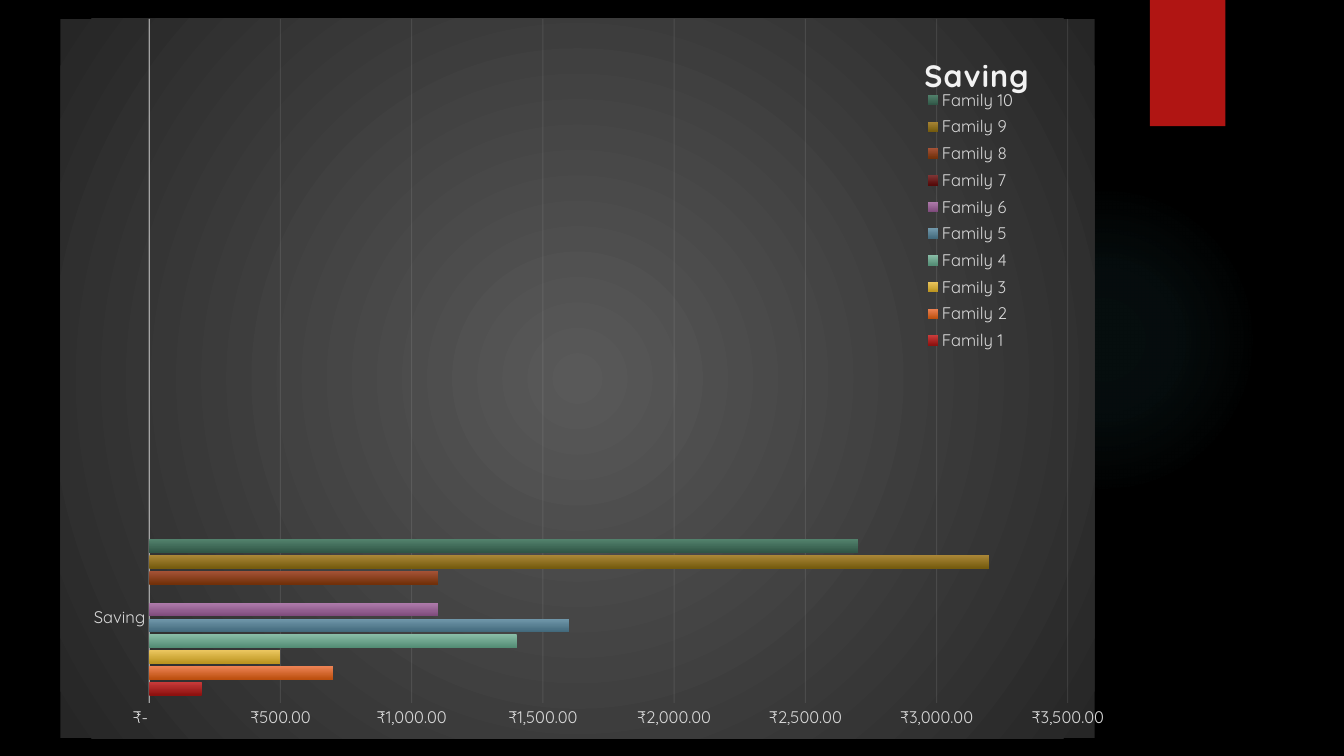
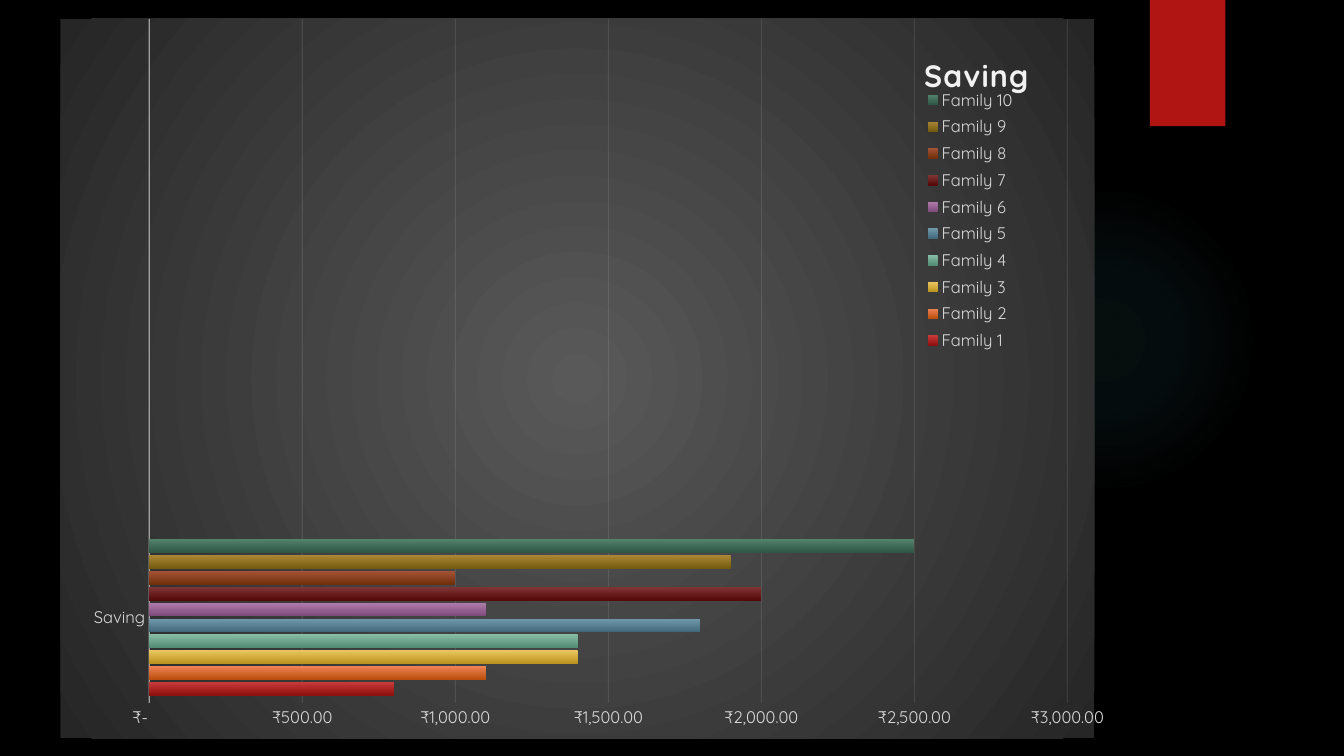
import pptx
import pptx.chart.data
import pptx.dml.color
import pptx.enum.chart
import pptx.enum.shapes
import pptx.oxml
import pptx.oxml.ns
import pptx.util

Cm, Pt = pptx.util.Cm, pptx.util.Pt
FONT = "Quicksand"
WHITE, LABEL, RULE = "FFFFFF", "D9D9D9", "F2F2F2"
RED, GLOW, BLACK = "B01513", "50B9C1", "000000"
CHART_FILL = [(0, "595959", 100), (100, "262626", 100)]
CHART_BOX = (1.52, 0.46, 26.42, 18.14)
BARS = [
    ("C93B3A", "8D110F"), ("EE8455", "BC4F0E"), ("EBC65F", "BB941F"),
    ("89BDA7", "538C74"), ("7198AB", "436A7C"), ("AF7CAC", "7F4B7C"),
    ("7F3636", "550A09"), ("A45236", "713009"), ("AA8737", "755B0E"),
    ("52816C", "305646"),
]
RUPEES = '_ "₹"* #,##0.00_ ;_ "₹"* -#,##0.00_ ;_ "₹"* "-"??_ ;_ @_ '
SAVINGS = [
    ([200, 700, 500, 1400, 1600, 1100, 0, 1100, 3200, 2700], 3500),
    ([800, 1100, 1400, 1400, 1800, 1100, 2000, 1000, 1900, 2500], 3000),
]


def rgb(value):
    return pptx.dml.color.RGBColor.from_string(value)


def xml(text):
    head, tail = text.split(">", 1)
    return pptx.oxml.parse_xml(f"{head} {pptx.oxml.ns.nsdecls('a', 'c')}>{tail}")


def add_gradient(spPr, stops, radial=False):
    marks = "".join(
        f'<a:gs pos="{pos * 1000}"><a:srgbClr val="{color}">'
        f'<a:alpha val="{alpha * 1000}"/></a:srgbClr></a:gs>'
        for pos, color, alpha in stops)
    if radial:
        course = ('<a:path path="circle"><a:fillToRect l="50000" t="50000" '
                  'r="50000" b="50000"/></a:path>')
    else:
        course = '<a:lin ang="5400000" scaled="0"/>'
    spPr.append(xml(f"<a:gradFill><a:gsLst>{marks}</a:gsLst>{course}</a:gradFill>"))


def set_line(fmt, width, alpha):
    fmt.line.color.rgb = rgb(RULE)
    fmt.line.width = Pt(width)
    color = fmt.element.xpath("c:spPr//a:srgbClr")[0]
    color.append(xml(f'<a:alpha val="{alpha * 1000}"></a:alpha>'))


def set_font(font, size, color):
    font.name, font.size = FONT, Pt(size)
    font.color.rgb = rgb(color)


def set_layout(element, x, y, w=None, h=None, inner=False):
    for old in element.xpath("c:layout"):
        element.remove(old)
    parts = '<c:layoutTarget val="inner"/>' if inner else ""
    parts += '<c:xMode val="edge"/><c:yMode val="edge"/>'
    for tag, value in zip("xywh", (x, y, w, h)):
        if value is not None:
            parts += f'<c:{tag} val="{value}"/>'
    layout = xml(f"<c:layout><c:manualLayout>{parts}</c:manualLayout></c:layout>")
    overlay = element.xpath("c:overlay")
    if overlay:
        overlay[0].addprevious(layout)
    else:
        element.insert(0, layout)


def add_plain_shape(s, kind, box):
    sp = s.shapes.add_shape(kind, *map(Cm, box))
    sp.line.fill.background()
    sp.shadow.inherit = False
    return sp


def decorate(prs, layout, s):
    background = prs.slide_master.background.fill
    background.solid()
    background.fore_color.rgb = rgb(BLACK)
    shape = pptx.enum.shapes.MSO_SHAPE
    glow = s.shapes.add_shape(shape.OVAL, *map(Cm, (23.9, 4.65, 7.82, 7.82)))
    add_gradient(glow.element.spPr,
                 [(0, GLOW, 7), (36, GLOW, 6), (69, GLOW, 0)], radial=True)
    glow.line.fill.background()
    glow.shadow.inherit = False
    tag = add_plain_shape(s, shape.RECTANGLE, (28.98, 0, 1.9, 3.18))
    tag.fill.solid()
    tag.fill.fore_color.rgb = rgb(RED)
    for sp in (glow, tag):
        layout.shapes.element.append(sp.element)


def style_axes(chart, maximum):
    cat, val = chart.category_axis, chart.value_axis
    for axis in (cat, val):
        axis.major_tick_mark = pptx.enum.chart.XL_TICK_MARK.NONE
        axis.minor_tick_mark = pptx.enum.chart.XL_TICK_MARK.NONE
        set_font(axis.tick_labels.font, 12, LABEL)
    set_line(cat.format, 1, 54)
    val.format.line.fill.background()
    val.has_major_gridlines = True
    set_line(val.major_gridlines.format, 0.75, 10)
    val.minimum_scale, val.maximum_scale, val.major_unit = 0, maximum, 500
    val.tick_labels.number_format = RUPEES
    val.tick_labels.number_format_is_linked = False


def add_title(chart):
    chart.has_title = True
    title = chart.chart_title
    r = title.text_frame.paragraphs[0].add_run()
    r.text = "Saving"
    set_font(r.font, 22, RULE)
    r.font.bold = True
    title.element.xpath(".//a:rPr")[0].set("spc", "100")
    set_layout(title.element, 0.83, 0.04)


def add_legend(chart):
    chart.has_legend = True
    legend = chart.legend
    legend.position = pptx.enum.chart.XL_LEGEND_POSITION.CORNER
    legend.include_in_layout = True
    set_font(legend.font, 12, LABEL)
    set_layout(chart.element.xpath("c:chart/c:legend")[0], 0.83, 0.09, 0.1, 0.38)


def add_savings_chart(s, box, values, maximum):
    data = pptx.chart.data.CategoryChartData(number_format=RUPEES)
    data.categories = ["Saving", "", "", ""]
    for number, value in enumerate(values, 1):
        data.add_series(f"Family {number}", (value, None, None, None))
    chart = s.shapes.add_chart(
        pptx.enum.chart.XL_CHART_TYPE.BAR_CLUSTERED, *map(Cm, box), data).chart
    set_font(chart.font, 10, WHITE)
    area = xml("<c:spPr></c:spPr>")
    add_gradient(area, CHART_FILL, radial=True)
    chart.element.xpath("c:chart")[0].addnext(area)
    plot = chart.plots[0]
    plot.gap_width, plot.overlap = 115, -20
    plot.vary_by_categories = False
    for series, (light, dark) in zip(plot.series, BARS):
        add_gradient(series.format.element.get_or_add_spPr(),
                     [(0, light, 100), (100, dark, 100)])
    style_axes(chart, maximum)
    add_title(chart)
    add_legend(chart)
    set_layout(chart.element.xpath("c:chart/c:plotArea")[0],
               0.086, 0, 0.888, 0.951, inner=True)


def main():
    prs = pptx.Presentation()
    prs.slide_width, prs.slide_height = Cm(33.87), Cm(19.05)
    layout = prs.slide_layouts[6]
    for index, (values, maximum) in enumerate(SAVINGS):
        s = prs.slides.add_slide(layout)
        if index == 0:
            decorate(prs, layout, s)
        add_savings_chart(s, CHART_BOX, values, maximum)
    prs.save("out.pptx")


if __name__ == "__main__":
    main()
